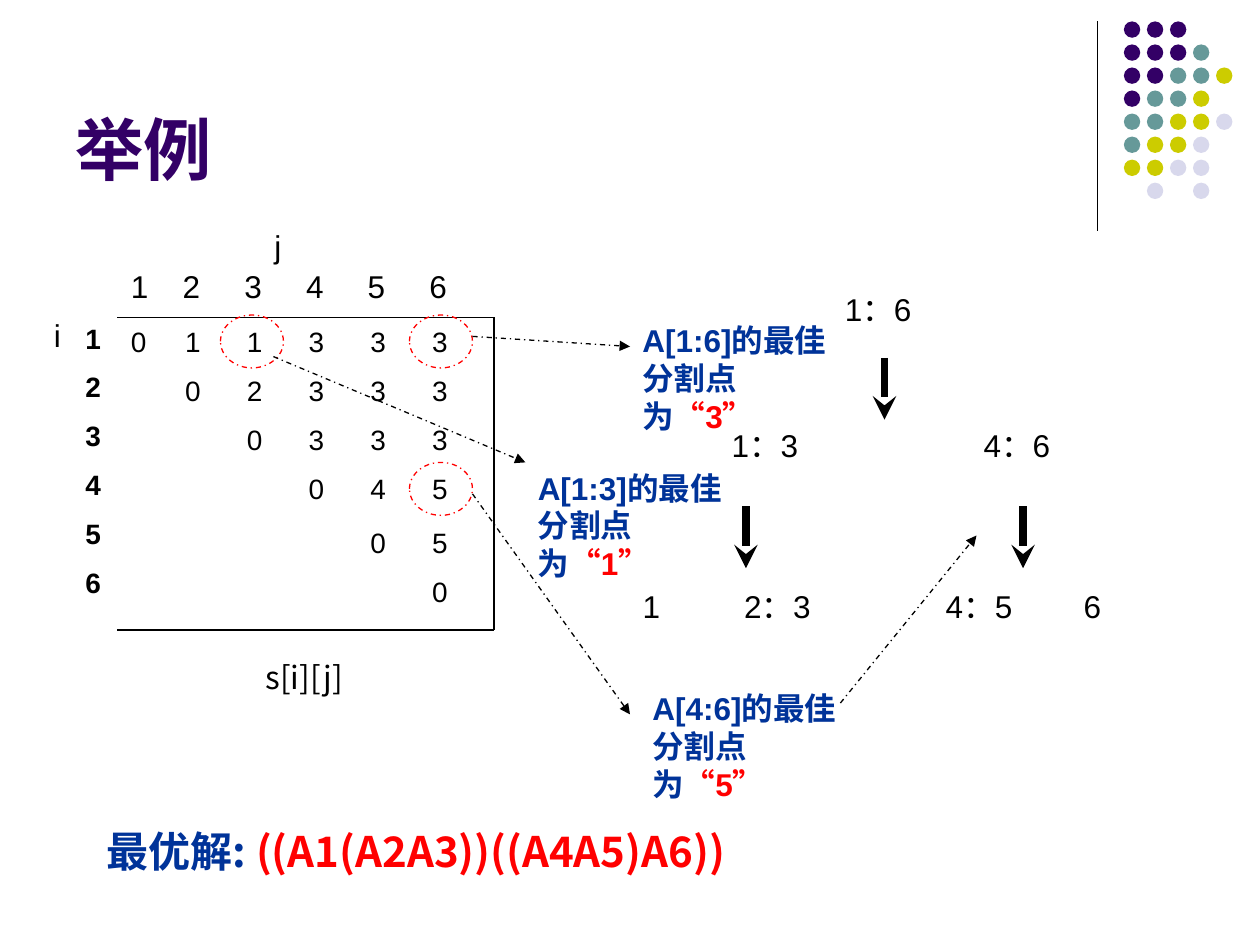
from lxml.etree import SubElement
from pptx import Presentation
from pptx.dml.color import RGBColor
from pptx.enum.dml import MSO_LINE
from pptx.enum.shapes import MSO_CONNECTOR, MSO_SHAPE
from pptx.enum.text import MSO_ANCHOR, MSO_AUTO_SIZE, PP_ALIGN
from pptx.oxml.ns import qn
from pptx.util import Inches, Pt

COLORS = {"purple": "330066", "teal": "669999", "olive": "CCCC00", "mist": "D8D8EC",
          "black": "000000", "blue": "003399", "red": "FF0000"}
LATIN, CJK = "Arial", "Noto Sans CJK SC"

# Content
DOT_ROWS = ["PPP", "PPPT", "PPTTO", "PTTO", "TTOOM", "TOOM", "OOMM", " M M"]
DOT_COLORS = {"P": "purple", "T": "teal", "O": "olive", "M": "mist"}
INDEXES = ["1", "2", "3", "4", "5", "6"]
SPLITS = [  # upper triangle: row i starts in column i
    ["0", "1", "1", "3", "3", "3"],
    ["0", "2", "3", "3", "3"],
    ["0", "3", "3", "3"],
    ["0", "4", "5"],
    ["0", "5"],
    ["0"],
]
AXIS_LABELS = [("i", 0.33, 2.46), ("j", 2.08, 1.75)]
FRAME_LINES = [((0.93, 2.52), (3.92, 2.52)), ((0.93, 5), (3.92, 5)),
               ((3.92, 2.52), (3.92, 5))]
TREE_NODES = [  # text, centre, top, width
    ("1：6", 6.97, 2.25, 2.9),
    ("1：3", 6.07, 3.33, 1.1), ("4：6", 8.07, 3.33, 1.1),
    ("1", 5.17, 4.61, 0.5), ("2：3", 6.17, 4.61, 1.1),
    ("4：5", 7.77, 4.61, 1.1), ("6", 8.67, 4.61, 0.5),
]
TREE_ARROWS = [(7.02, 2.84), (5.92, 4.02), (8.12, 4.02)]
CALLOUTS = [  # range, split, text corner, ring corner, arrow start, arrow end
    ("A[1:6]", "“3”", (5, 2.5), (3.25, 2.5), (3.75, 2.67), (5, 2.75)),
    ("A[1:3]", "“1”", (4.17, 3.67), (1.75, 2.5), (2.17, 2.83), (4.17, 3.67)),
    ("A[4:6]", "“5”", (5.08, 5.42), (3.25, 3.67), (3.75, 3.92), (5, 5.67)),
]

deck = Presentation()
deck.slide_width, deck.slide_height = Inches(10), Inches(7.5)
page = deck.slides.add_slide(deck.slide_layouts[6])


def color(name):
    return RGBColor.from_string(COLORS[name])


def add_text(paragraphs, left, top, width, height, size=18, fill="black", bold=False,
             align=PP_ALIGN.LEFT, anchor=MSO_ANCHOR.TOP, gaps=(), tabs=()):
    """Each paragraph is a list of (text, format changes) spans."""
    box = page.shapes.add_textbox(Inches(left), Inches(top), Inches(width), Inches(height))
    frame = box.text_frame
    frame.word_wrap = True
    frame.vertical_anchor = anchor
    if anchor == MSO_ANCHOR.TOP:
        frame.auto_size = MSO_AUTO_SIZE.SHAPE_TO_FIT_TEXT
    for number, spans in enumerate(paragraphs):
        para = frame.add_paragraph() if number else frame.paragraphs[0]
        para.alignment = align
        if number:
            para.space_before = Pt(gaps[number - 1])
        if tabs:
            stops = SubElement(para._p.get_or_add_pPr(), qn("a:tabLst"))
            for stop in tabs:
                SubElement(stops, qn("a:tab"), pos=str(Inches(stop)), algn="l")
        for text, changes in spans:
            span = para.add_run()
            span.text = text
            span.font.size = Pt(size)
            span.font.bold = bold
            span.font.name = changes.get("font", LATIN)
            span.font.color.rgb = color(changes.get("fill", fill))
            SubElement(span.font._element, qn("a:ea"), typeface=CJK)


def add_line(start, end, width=0.75, dashed=False, head=None):
    line = page.shapes.add_connector(MSO_CONNECTOR.STRAIGHT,
                                     *(Inches(value) for value in (*start, *end)))
    line.line.color.rgb = color("black")
    line.line.width = Pt(width)
    if dashed:
        line.line.dash_style = MSO_LINE.DASH_DOT
    if head:
        SubElement(line.line._get_or_add_ln(), qn("a:tailEnd"), type=head)
    SubElement(line._element.spPr, qn("a:effectLst"))


def add_ellipse(left, top, width, height, fill=None):
    ellipse = page.shapes.add_shape(MSO_SHAPE.OVAL, Inches(left), Inches(top),
                                    Inches(width), Inches(height))
    ellipse.shadow.inherit = False
    if fill:
        ellipse.fill.solid()
        ellipse.fill.fore_color.rgb = color(fill)
        ellipse.line.fill.background()
    else:
        ellipse.fill.background()
        ellipse.line.color.rgb = color("red")
        ellipse.line.width = Pt(0.75)
        ellipse.line.dash_style = MSO_LINE.DASH_DOT


# Corner decoration
add_line((8.71, 0.17), (8.71, 1.83))
DOT_PITCH = 1.28 / 7
for row, codes in enumerate(DOT_ROWS):
    for column, code in enumerate(codes):
        if code in DOT_COLORS:
            add_ellipse(8.92 + column * DOT_PITCH, 0.17 + row * DOT_PITCH, 0.13, 0.13,
                        fill=DOT_COLORS[code])

# Title
add_text([[("举例", {})]], 0.5, 0.13, 8.25, 1.42, size=39, fill="purple", bold=True,
         anchor=MSO_ANCHOR.BOTTOM)

# Matrix of split points
ROW_GAPS = [8.7] * 5
add_text([[(index, {})] for index in INDEXES], 0.58, 2.5, 0.42, 2.37, size=16, bold=True,
         gaps=ROW_GAPS)
for label, left, top in AXIS_LABELS:
    add_text([[(label, {})]], left, top, 0.34, 0.4)
add_text([[("\t".join(INDEXES), {})]], 0.94, 2.07, 2.98, 0.4,
         tabs=[0.41 + 0.49 * step for step in range(5)])
for start, end in FRAME_LINES:
    add_line(start, end)
add_text([[("\t" * row + "\t".join(values), {})] for row, values in enumerate(SPLITS)],
         0.94, 2.53, 2.98, 2.42, size=16, gaps=[8.7, 8.7, 8.7, 12, 8.7],
         tabs=[0.43 + 0.49 * step for step in range(5)])
add_text([[("s[i][j]", {"font": CJK})]], 1.5, 5.17, 1.83, 0.4, align=PP_ALIGN.CENTER)

# Split tree
for text, centre, top, width in TREE_NODES:
    add_text([[(text, {})]], centre - width / 2, top, width, 0.4, align=PP_ALIGN.CENTER)
for left, top in TREE_ARROWS:
    add_line((left, top), (left, top + 0.49), width=4.5, head="stealth")

# Callouts
for name, split, corner, ring, start, end in CALLOUTS:
    add_text([[(name + "的最佳分割点为", {}), (split, {"fill": "red"})]], *corner, 1.67, 0.7,
             fill="blue", bold=True)
    add_ellipse(*ring, 0.5, 0.42)
    add_line(start, end, dashed=True, head="triangle")
add_line((6.67, 5.58), (7.75, 4.25), dashed=True, head="triangle")

# Best solution
add_text([[("最优解", {}), (": ", {"font": CJK}),
           ("((A1(A2A3))((A4A5)A6))", {"font": CJK, "fill": "red"})]],
         0.75, 6.5, 5.25, 0.5, size=24, fill="blue", bold=True)

deck.save("out.pptx")
